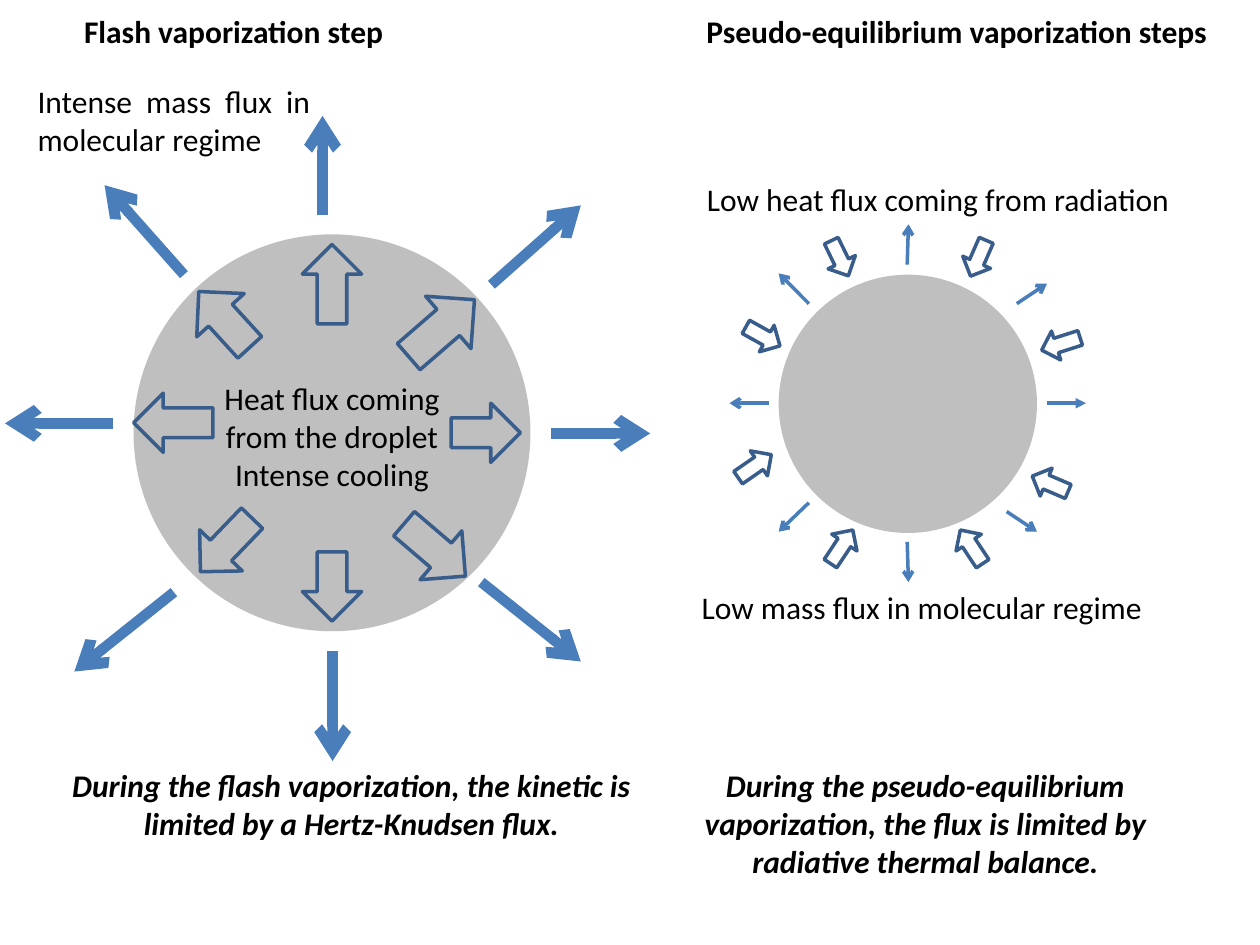
from pptx import Presentation
from pptx.dml.color import RGBColor
from pptx.enum.shapes import MSO_CONNECTOR, MSO_SHAPE
from pptx.enum.text import PP_ALIGN
from pptx.oxml.ns import qn
from pptx.util import Inches, Pt
from lxml.etree import SubElement

HUES = {"drop": "BFBFBF", "mass": "4A7EBB", "heat": "385D8A", "text": "000000"}

# Droplets: left, top, diameter
DROPS = [(1.06, 1.86, 3.15), (6.18, 2.18, 2.05)]

# Mass flux: line width, then x1, y1, x2, y2, head
MASS = [
    (6, [
        (4.37, 3.44, 5.16, 3.44, "arrow"),
        (3.82, 4.62, 4.61, 5.25, "arrow"),
        (3.9, 2.26, 4.61, 1.63, "arrow"),
        (2.56, 1.71, 2.56, 0.92, "arrow"),
        (2.64, 5.17, 2.64, 6.04, "arrow"),
        (0.9, 3.36, 0.04, 3.36, "arrow"),
        (1.38, 4.7, 0.59, 5.33, "arrow"),
        (1.46, 2.18, 0.83, 1.47, "arrow"),
    ]),
    (2, [
        (8.31, 3.2, 8.62, 3.2, "triangle"),
        (7.99, 4.06, 8.23, 4.22, "arrow"),
        (8.07, 2.41, 8.31, 2.25, "arrow"),
        (7.2, 2.1, 7.21, 1.78, "arrow"),
        (7.2, 4.3, 7.21, 4.62, "arrow"),
        (6.1, 3.2, 5.79, 3.2, "arrow"),
        (6.42, 3.99, 6.18, 4.22, "arrow"),
        (6.42, 2.41, 6.18, 2.17, "arrow"),
    ]),
]

# Heat flux: left, top, width, height, heading in degrees clockwise
HEAT = [
    (3.58, 3.2, 0.55, 0.47, 0),
    (1.06, 3.12, 0.63, 0.47, 180),
    (2.32, 2.02, 0.63, 0.47, 270),
    (2.36, 4.42, 0.55, 0.47, 90),
    (3.16, 2.33, 0.69, 0.55, 319.1),
    (1.48, 2.28, 0.6, 0.51, 227.6),
    (3.13, 4.11, 0.64, 0.51, 40.5),
    (1.5, 4.09, 0.59, 0.47, 133.9),
    (8.26, 2.61, 0.32, 0.24, 162.2),
    (5.83, 3.58, 0.32, 0.24, 325.3),
    (6.51, 1.93, 0.31, 0.24, 64),
    (7.55, 4.22, 0.32, 0.24, 236.5),
    (7.61, 1.93, 0.31, 0.24, 113.6),
    (5.9, 2.55, 0.31, 0.24, 29.2),
    (8.18, 3.72, 0.31, 0.24, 203.1),
    (6.52, 4.22, 0.32, 0.24, 303.6),
]

# Texts: left, top, width, height, alignment, bold, italic, wording
MID, LEFT, FULL = PP_ALIGN.CENTER, PP_ALIGN.LEFT, PP_ALIGN.JUSTIFY
TEXTS = [
    (0.2, 0.05, 3.31, 0.4, MID, True, False, "Flash vaporization step"),
    (5.31, 0.05, 4.57, 0.4, MID, True, False,
     "Pseudo-equilibrium vaporization steps"),
    (0.2, 0.6, 2.36, 0.7, FULL, False, False,
     "Intense mass flux in molecular regime"),
    (1.53, 2.96, 2.21, 1, MID, False, False,
     "Heat flux coming from the droplet\nIntense cooling"),
    (5.16, 1.38, 4.57, 0.4, MID, False, False,
     "Low heat flux coming from radiation"),
    (5.47, 4.62, 4.02, 0.4, LEFT, False, False,
     "Low mass flux in molecular regime"),
    (0.27, 6.03, 5.04, 0.7, MID, True, True,
     "During the flash vaporization, the kinetic is limited by a "
     "Hertz-Knudsen flux."),
    (5.16, 6.03, 4.37, 1, MID, True, True,
     "During the pseudo-equilibrium vaporization, the flux is limited by "
     "radiative thermal balance."),
]


def hue(name):
    return RGBColor.from_string(HUES[name])


def add_drop(left, top, size):
    drop = shapes.add_shape(MSO_SHAPE.OVAL, Inches(left), Inches(top),
                            Inches(size), Inches(size))
    drop.shadow.inherit = False
    drop.fill.solid()
    drop.fill.fore_color.rgb = hue("drop")
    drop.line.fill.background()


def add_mass(width, x1, y1, x2, y2, head):
    line = shapes.add_connector(MSO_CONNECTOR.STRAIGHT, Inches(x1), Inches(y1),
                                Inches(x2), Inches(y2))
    line.line.color.rgb = hue("mass")
    line.line.width = Pt(width)
    SubElement(line.line._get_or_add_ln(), qn("a:tailEnd"), type=head)
    SubElement(line._element.spPr, qn("a:effectLst"))


def add_heat(left, top, width, height, turn):
    arrow = shapes.add_shape(MSO_SHAPE.RIGHT_ARROW, Inches(left), Inches(top),
                             Inches(width), Inches(height))
    arrow.rotation = turn
    arrow.shadow.inherit = False
    arrow.fill.background()
    arrow.line.color.rgb = hue("heat")
    arrow.line.width = Pt(2)


def add_text(left, top, width, height, align, bold, slant, words):
    box = shapes.add_textbox(Inches(left), Inches(top),
                             Inches(width), Inches(height))
    frame = box.text_frame
    frame.word_wrap = True
    frame.text = words
    for para in frame.paragraphs:
        para.alignment = align
        for run in para.runs:
            font = run.font
            font.name, font.size = "Calibri", Pt(18)
            font.bold, font.italic = bold, slant
            font.color.rgb = hue("text")


deck = Presentation()
deck.slide_width, deck.slide_height = Inches(10), Inches(7.5)
shapes = deck.slides.add_slide(deck.slide_layouts[6]).shapes

# Droplets at the back, then fluxes, then wording
for drop in DROPS:
    add_drop(*drop)
for width, lines in MASS:
    for line in lines:
        add_mass(width, *line)
for arrow in HEAT:
    add_heat(*arrow)
for text in TEXTS:
    add_text(*text)

deck.save("out.pptx")
